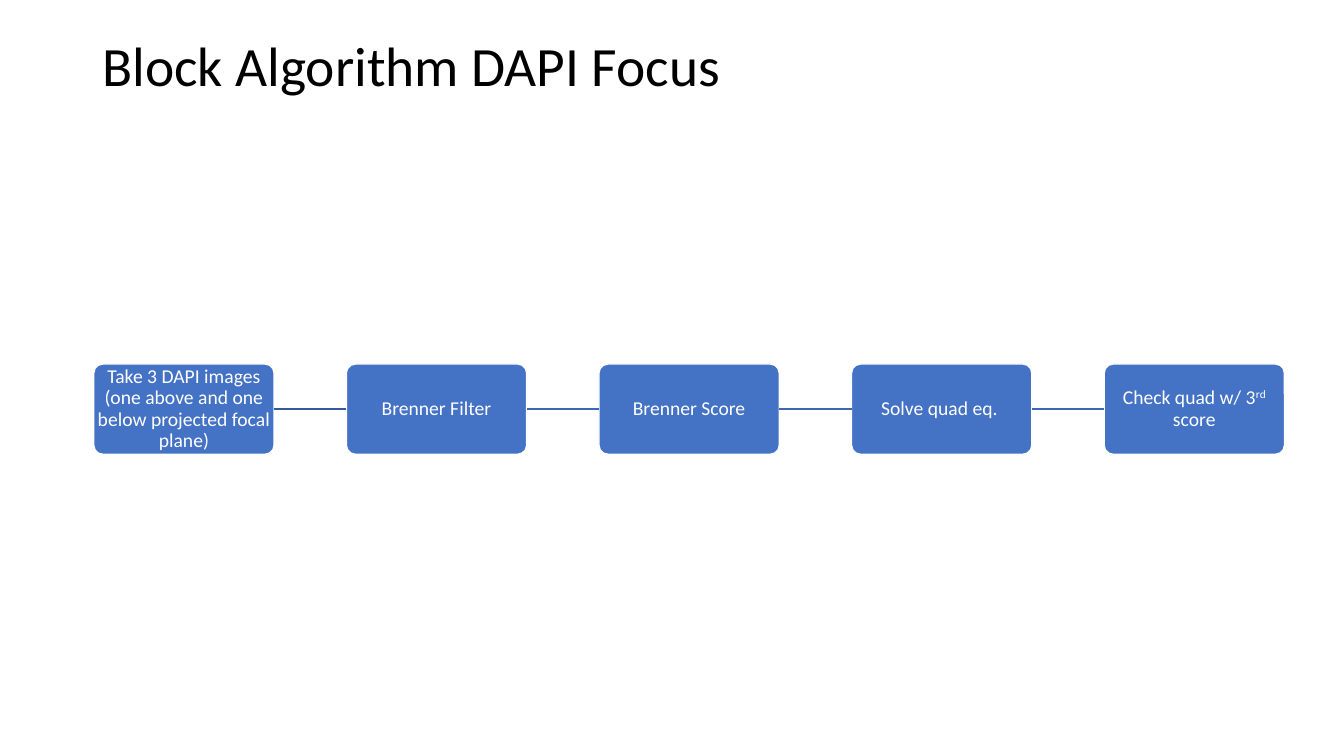
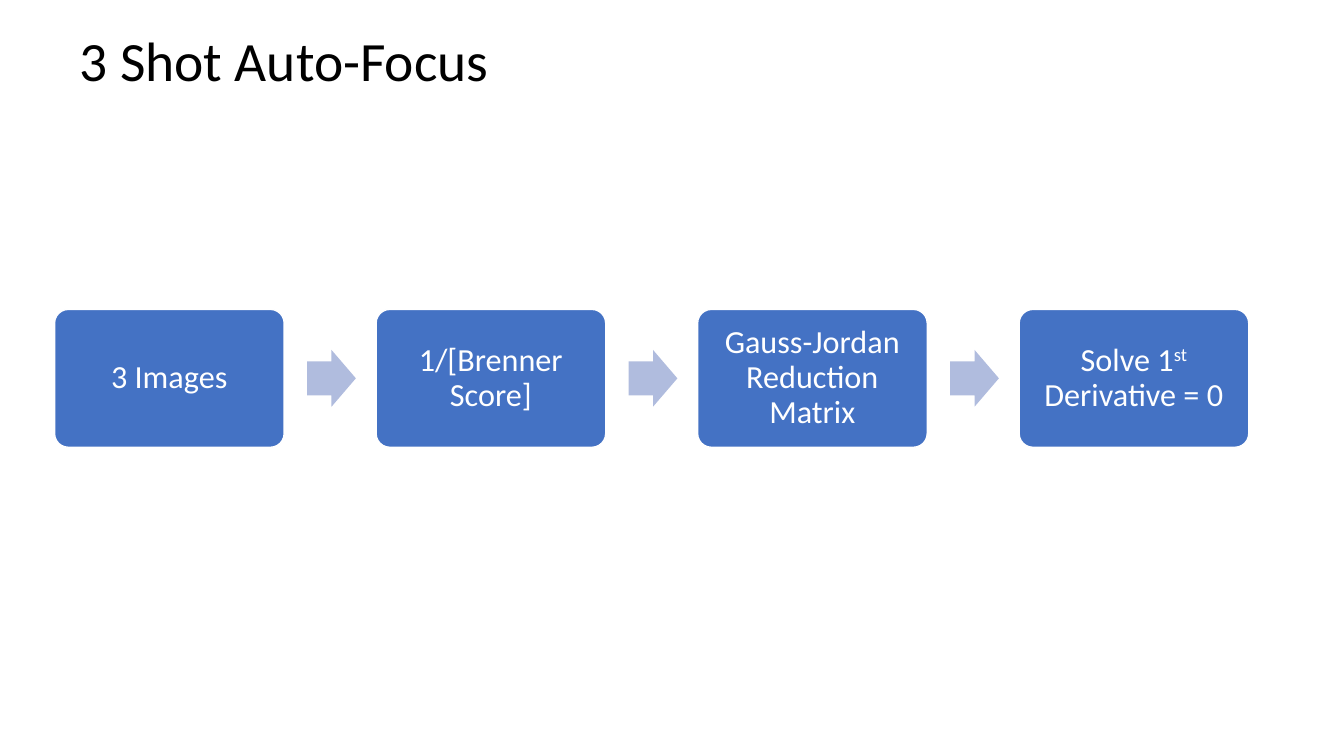
from lxml.etree import SubElement
from pptx import Presentation
from pptx.dml.color import RGBColor
from pptx.enum.shapes import MSO_CONNECTOR, MSO_SHAPE
from pptx.enum.text import MSO_ANCHOR, PP_ALIGN
from pptx.oxml.ns import qn
from pptx.util import Pt

COLORS = {
    "title": "000000",
    "step": "4472C4",
    "step_text": "FFFFFF",
    "step_edge": "FFFFFF",
    "first_link": "365B9D",
    "link": "3E67B2",
    "arrow": "B0BCDE",
}
FONT = "Calibri"
TITLE_SIZE = 39.6
LINE_SPACING = 0.9
SUPERSCRIPT = "30000"

FOCUS_STEPS = [
    ["Take 3 DAPI images (one above and one below projected focal plane)"],
    ["Brenner Filter"],
    ["Brenner Score"],
    ["Solve quad eq. "],
    ["Check quad w/ 3", "rd", " score"],
]
SHOT_STEPS = [
    ["3 Images"],
    ["1/[Brenner Score]"],
    ["Gauss-Jordan Reduction Matrix"],
    ["Solve 1", "st", " Derivative = 0"],
]


def paint(target, color):
    """Give a fill or a line a solid colour from the palette."""
    fill = getattr(target, "fill", target)
    fill.solid()
    fill.fore_color.rgb = RGBColor.from_string(COLORS[color])


def write(shape, parts, size, color, align, inset):
    """Write one paragraph in a shape, raising every second part."""
    frame = shape.text_frame
    frame_format = {
        "word_wrap": True,
        "vertical_anchor": MSO_ANCHOR.MIDDLE,
        "margin_left": Pt(inset[0]),
        "margin_right": Pt(inset[0]),
        "margin_top": Pt(inset[1]),
        "margin_bottom": Pt(inset[1]),
    }
    for name, value in frame_format.items():
        setattr(frame, name, value)
    paragraph = frame.paragraphs[0]
    paragraph.alignment = align
    paragraph.line_spacing = LINE_SPACING
    for index, part in enumerate(parts):
        run = paragraph.add_run()
        run.text = part
        for name, value in {"name": FONT, "size": Pt(size)}.items():
            setattr(run.font, name, value)
        paint(run.font, color)
        if index % 2:
            run._r.get_or_add_rPr().set("baseline", SUPERSCRIPT)


def add_title(slide, text, box):
    """Place the slide title in its box."""
    title = slide.shapes.add_textbox(*map(Pt, box))
    write(title, [text], TITLE_SIZE, "title", PP_ALIGN.LEFT, (7.2, 3.6))


def add_steps(slide, steps, box, step_width, size, inset):
    """Spread rounded steps evenly over a box and return them."""
    left, top, width, height = box
    pitch = (width - step_width) / (len(steps) - 1)
    shapes = []
    for index, parts in enumerate(steps):
        step = slide.shapes.add_shape(
            MSO_SHAPE.ROUNDED_RECTANGLE,
            Pt(left + index * pitch), Pt(top), Pt(step_width), Pt(height),
        )
        step.adjustments[0] = 0.1
        step.shadow.inherit = False
        paint(step, "step")
        paint(step.line, "step_edge")
        step.line.width = Pt(1)
        write(step, parts, size, "step_text", PP_ALIGN.CENTER, (inset, inset))
        shapes.append(step)
    return shapes


def add_links(slide, steps):
    """Join neighbouring steps with straight lines."""
    for index, (start, end) in enumerate(zip(steps, steps[1:])):
        link = slide.shapes.add_connector(MSO_CONNECTOR.STRAIGHT, 0, 0, 0, 0)
        link.begin_connect(start, 3)
        link.end_connect(end, 1)
        paint(link.line, "link" if index else "first_link")
        link.line.width = Pt(1)
        SubElement(link._element.spPr, qn("a:effectLst"))


def add_arrows(slide, steps, offset, width, height):
    """Place a block arrow after each step but the last."""
    for step in steps[:-1]:
        arrow = slide.shapes.add_shape(
            MSO_SHAPE.RIGHT_ARROW,
            step.left + step.width + Pt(offset),
            step.top + (step.height - Pt(height)) // 2,
            Pt(width), Pt(height),
        )
        arrow.adjustments[0] = 0.6
        arrow.adjustments[1] = 0.5
        arrow.shadow.inherit = False
        paint(arrow, "arrow")
        arrow.line.fill.background()


def build_block_algorithm(slide):
    """Build the focus algorithm as a row of linked blocks."""
    add_title(slide, "Block Algorithm DAPI Focus", (66, 28.8, 828, 40))
    steps = add_steps(slide, FOCUS_STEPS, (67, 260, 850.5, 64.5), 128.8, 14, 0.7)
    add_links(slide, steps)


def build_auto_focus(slide):
    """Build the three-shot focus as a row of blocks and arrows."""
    add_title(slide, "3 Shot Auto-Focus", (49.8, 18.5, 828, 54))
    steps = add_steps(slide, SHOT_STEPS, (39, 221, 853, 98.5), 164, 23, 7.2)
    add_arrows(slide, steps, 16.4, 34.8, 40.6)


def main():
    """Build and save the presentation."""
    deck = Presentation()
    deck.slide_width = Pt(960)
    deck.slide_height = Pt(540)
    for build in (build_block_algorithm, build_auto_focus):
        build(deck.slides.add_slide(deck.slide_layouts[6]))
    deck.save("out.pptx")


if __name__ == "__main__":
    main()
